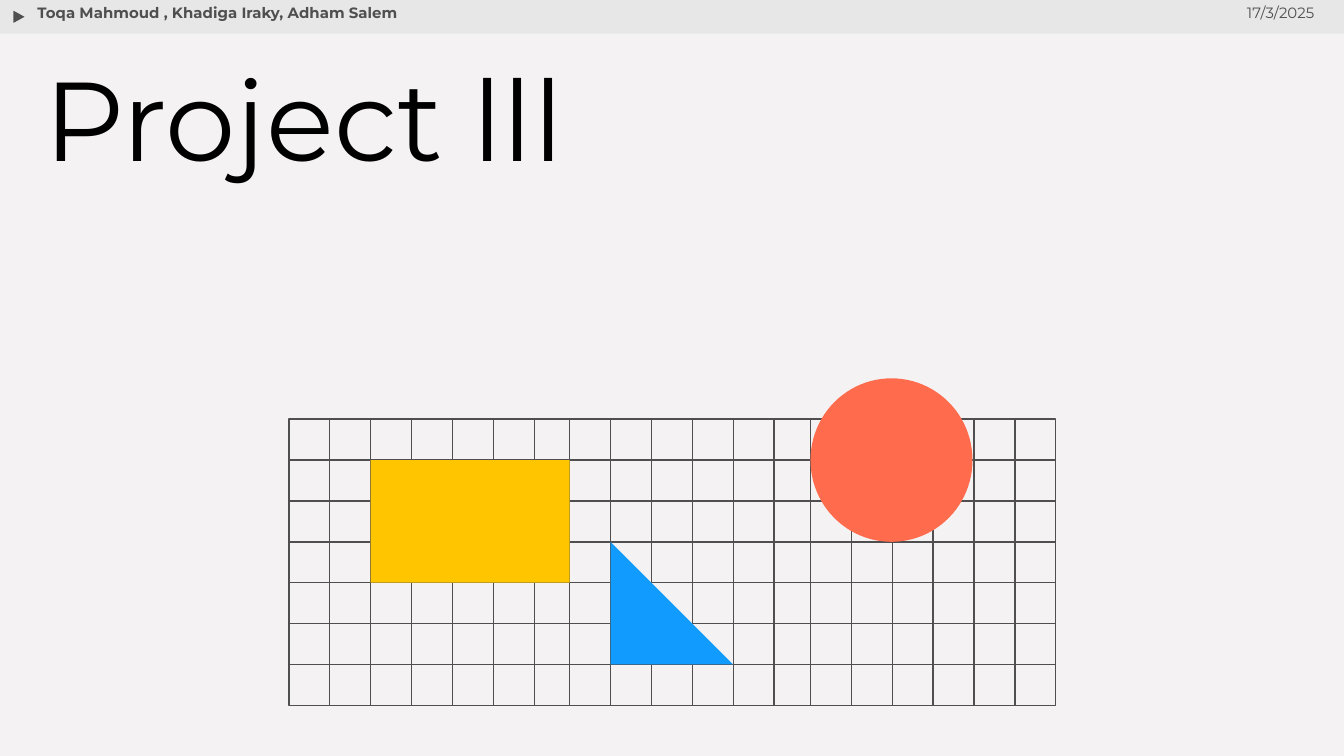
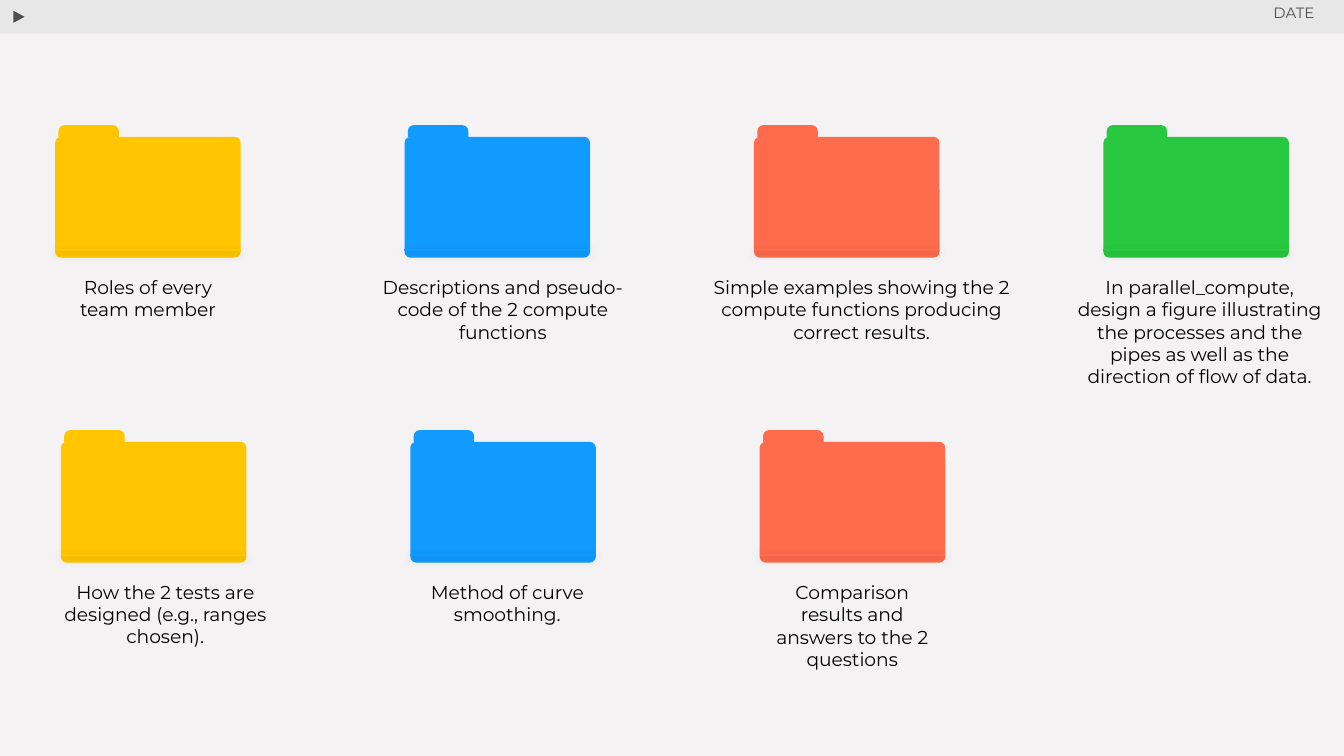
from lxml import etree
from pptx import Presentation
from pptx.dml.color import RGBColor
from pptx.enum import shapes, text
from pptx.oxml import ns
from pptx.util import Pt

PAPER = RGBColor(0xF4, 0xF2, 0xF2)
BAND = RGBColor(0xE7, 0xE7, 0xE7)
GRAY = RGBColor(0x4F, 0x4F, 0x4F)
BLACK = RGBColor(0x00, 0x00, 0x00)
YELLOW = RGBColor(0xFF, 0xC6, 0x00)
BLUE = RGBColor(0x11, 0x9B, 0xFE)
CORAL = RGBColor(0xFF, 0x6B, 0x4D)
GREEN = RGBColor(0x28, 0xC8, 0x40)

FONT = "Montserrat"
INSET = 7.2
HAIRLINE = 0.75
SHAPE = shapes.MSO_SHAPE
ALIGN = text.PP_ALIGN

# Grid: three panels of square cells, each panel starting at its own left edge
CELL = 21.9
GRID_TOP = 224.6
GRID_ROWS = 7
PANELS = [(154.8, 7), (305.2, 6), (434.2, 7)]  # left edge, vertical lines

FOLDER_WIDTH = 99.4
FOLDER_PITCH = 187.2
CAPTION_DROP = 73.4

# Per row: left, top, then (colour, caption, caption left, caption width, caption height)
FOLDER_ROWS = [
    (29.5, 67, [
        (YELLOW, "Roles of every team member", 29.5, 99.4, 38.9),
        (BLUE, "Descriptions and pseudo-code of the 2 compute functions",
         193, 152.6, 51.1),
        (CORAL, "Simple examples showing the 2 compute functions producing "
         "correct results.", 367.9, 187.2, 74.9),
        (GREEN, "In parallel_compute, design a figure illustrating the processes "
         "and the pipes as well as the direction of flow of data.",
         568.8, 147.6, 74.9),
    ]),
    (32.6, 230.4, [
        (YELLOW, "How the 2 tests are designed (e.g., ranges chosen).",
         26.6, 123.8, 74.9),
        (BLUE, "Method of curve smoothing.", 213.8, 115.9, 38.9),
        (CORAL, "Comparison results and answers to the 2 questions",
         406.8, 99.4, 63.4),
    ]),
]


def add_figure(parent, kind, left, top, width, height, fill=None, line=None):
    """Add a preset shape without shadow to a slide or a group."""
    shape = parent.shapes.add_shape(kind, Pt(left), Pt(top), Pt(width), Pt(height))
    shape.shadow.inherit = False
    if fill is None:
        shape.fill.background()
    else:
        shape.fill.solid()
        shape.fill.fore_color.rgb = fill
    if line is None:
        shape.line.fill.background()
    else:
        shape.line.color.rgb = line
        shape.line.width = Pt(HAIRLINE)
    return shape


def add_line(parent, start, end, color):
    """Add a straight line and return its empty effect list."""
    line = parent.shapes.add_connector(
        shapes.MSO_CONNECTOR.STRAIGHT, *(Pt(value) for value in start + end))
    line.line.color.rgb = color
    line.line.width = Pt(HAIRLINE)
    return etree.SubElement(line._element.spPr, ns.qn("a:effectLst"))


def add_soft_shadow(effects):
    shadow = etree.SubElement(effects, ns.qn("a:outerShdw"), blurRad=str(Pt(4.5)),
                              dist=str(Pt(1.5)), dir="5400000",
                              algn="bl", rotWithShape="0")
    color = etree.SubElement(shadow, ns.qn("a:srgbClr"), val="000000")
    etree.SubElement(color, ns.qn("a:alpha"), val="30000")


def write_text(shape, words, size, color, align=ALIGN.LEFT, bold=False):
    frame = shape.text_frame
    frame.word_wrap = True
    frame.vertical_anchor = text.MSO_ANCHOR.TOP
    frame.margin_left = frame.margin_right = Pt(INSET)
    frame.margin_top = frame.margin_bottom = Pt(INSET)
    paragraph = frame.paragraphs[0]
    paragraph.alignment = align
    run = paragraph.add_run()
    run.text = words
    run.font.name = FONT
    run.font.size = Pt(size)
    run.font.bold = bold
    run.font.color.rgb = color
    return paragraph


def add_text(slide, words, left, top, width, height, size, color, **style):
    box = slide.shapes.add_textbox(Pt(left), Pt(top), Pt(width), Pt(height))
    write_text(box, words, size, color, **style)
    box.text_frame.auto_size = text.MSO_AUTO_SIZE.SHAPE_TO_FIT_TEXT


def add_header(slide, date, authors=None):
    add_figure(slide, SHAPE.RECTANGLE, -0.7, 0, 720.7, 18, BAND)
    marker = add_figure(slide, SHAPE.ISOSCELES_TRIANGLE, 6.5, 5.4, 7.9, 7.2, GRAY, BAND)
    marker.rotation = 90
    add_text(slide, date, 591.1, -2.9, 120.2, 33.8, 8, GRAY, align=ALIGN.RIGHT)
    if authors:
        add_text(slide, authors, 13, -2.9, 342.7, 33.8, 8, GRAY, bold=True)


def add_title(slide, words):
    title = slide.shapes.title
    title.left, title.top, title.width, title.height = Pt(16.6), Pt(27.4), Pt(420.5), Pt(157.7)
    paragraph = write_text(title, words, 60, BLACK)
    paragraph.line_spacing = 0.9
    title.text_frame.auto_size = text.MSO_AUTO_SIZE.NONE


def add_grid(slide):
    columns = [left + CELL * index for left, count in PANELS for index in range(count)]
    rows = [GRID_TOP + CELL * index for index in range(GRID_ROWS + 1)]
    left, right, top, bottom = columns[0], columns[-1], rows[0], rows[-1]
    add_figure(slide, SHAPE.RECTANGLE, left, top, right - left, bottom - top, line=GRAY)
    for x in columns[1:-1]:
        add_line(slide, (x, top), (x, bottom), GRAY)
    for y in rows[1:-1]:
        add_line(slide, (left, y), (right, y), GRAY)


def add_grid_figures(slide):
    first, second, third = (left for left, _ in PANELS)
    rectangle_left = first + 2 * CELL
    add_figure(slide, SHAPE.RECTANGLE, rectangle_left, GRID_TOP + CELL,
               second - rectangle_left, 3 * CELL, YELLOW)
    add_figure(slide, SHAPE.OVAL, third, GRID_TOP - CELL, 86.8, 4 * CELL, CORAL)
    add_figure(slide, SHAPE.RIGHT_TRIANGLE, second + CELL, GRID_TOP + 3 * CELL,
               3 * CELL, 3 * CELL, BLUE)


def add_folder(slide, left, top, color):
    folder = slide.shapes.add_group_shape()
    tab = add_figure(folder, SHAPE.ROUND_2_SAME_RECTANGLE, left + 1.8, top, 32.4, 6.5, color)
    tab.adjustments[0] = 0.5
    body = add_figure(folder, SHAPE.ROUNDED_RECTANGLE, left, top + 6.3,
                      FOLDER_WIDTH, 64.8, color)
    body.adjustments[0] = 0.05
    crease = top + 66.9
    add_soft_shadow(add_line(folder, (left, crease), (left + FOLDER_WIDTH, crease), color))


def build_cover(presentation):
    slide = presentation.slides.add_slide(presentation.slide_layouts[5])
    add_header(slide, "17/3/2025", "Toqa Mahmoud , Khadiga Iraky, Adham Salem")
    add_title(slide, "Project lll")
    add_grid(slide)
    add_grid_figures(slide)


def build_contents(presentation):
    slide = presentation.slides.add_slide(presentation.slide_layouts[6])
    add_header(slide, "DATE")
    for row_left, top, folders in FOLDER_ROWS:
        for column, (color, caption, left, width, height) in enumerate(folders):
            add_folder(slide, row_left + column * FOLDER_PITCH, top, color)
            add_text(slide, caption, left, top + CAPTION_DROP, width, height,
                     10, BLACK, align=ALIGN.CENTER)


def main():
    presentation = Presentation()
    presentation.slide_width = Pt(720)
    presentation.slide_height = Pt(405)
    background = presentation.slide_master.background.fill
    background.solid()
    background.fore_color.rgb = PAPER
    build_cover(presentation)
    build_contents(presentation)
    presentation.save("out.pptx")


if __name__ == "__main__":
    main()
